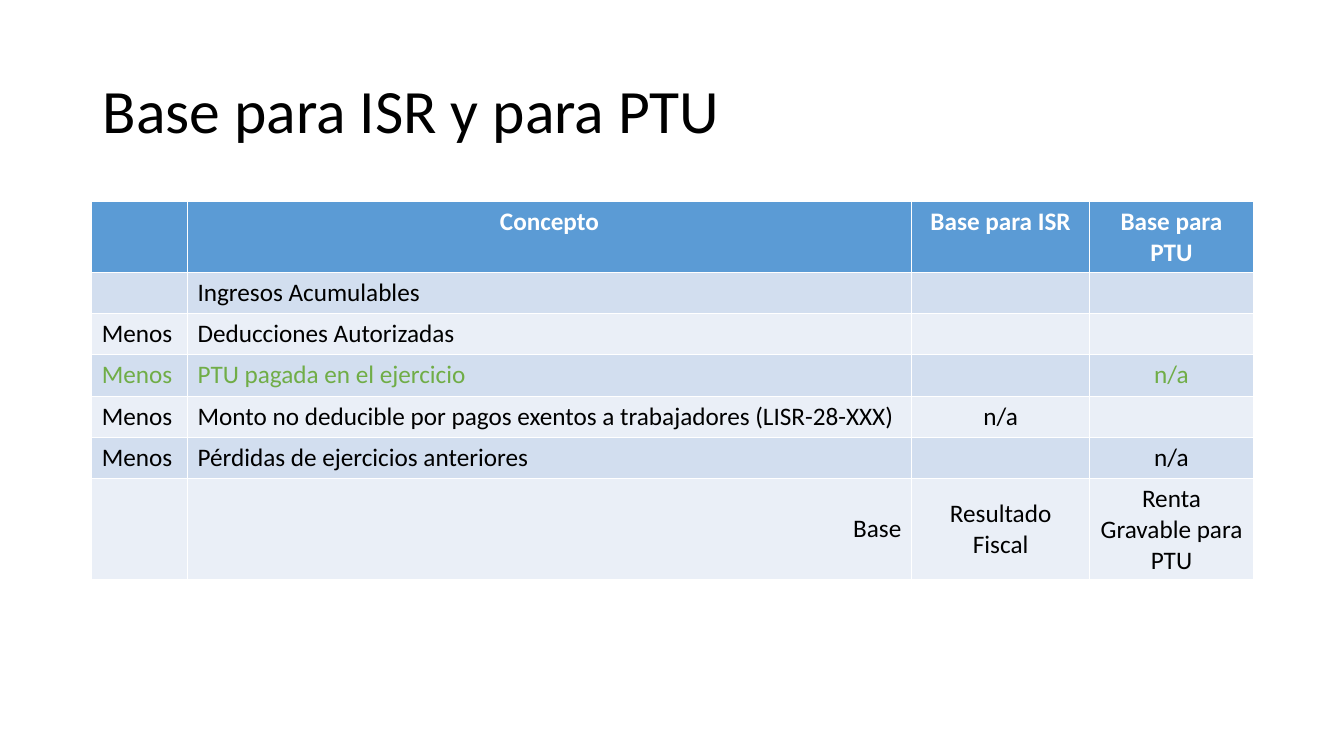
import pptx
import pptx.dml.color
import pptx.enum.text
import pptx.util

Inches = pptx.util.Inches
ALIGN = pptx.enum.text.PP_ALIGN
ANCHOR = pptx.enum.text.MSO_ANCHOR

TITLE = "Base para ISR y para PTU"
ROWS = [
    ("", "Concepto", "Base para ISR", "Base para PTU"),
    ("", "Ingresos Acumulables", "", ""),
    ("Menos", "Deducciones Autorizadas", "", ""),
    ("Menos", "PTU pagada en el ejercicio", "", "n/a"),
    ("Menos", "Monto no deducible por pagos exentos a trabajadores (LISR-28-XXX)", "n/a", ""),
    ("Menos", "Pérdidas de ejercicios anteriores", "", "n/a"),
    ("", "Base", "Resultado Fiscal", "Renta Gravable para PTU"),
]
HIGHLIGHTED_ROW = 3
TOTAL_ROW = len(ROWS) - 1
COLUMN_WIDTHS = (0.95, 7.18, 1.77, 1.62)
ROW_HEIGHT = 0.41

THEME = {
    "font": "Calibri",
    "title_size": 44,
    "table_size": 18,
    "text": "000000",
    "header_text": "FFFFFF",
    "highlight": "70AD47",
    "header_fill": "5B9BD5",
    "bands": ("EAEFF7", "D2DEEF"),
}


def style_paragraph(para, size, color, bold=False, align=ALIGN.LEFT):
    para.alignment = align
    para.font.name = THEME["font"]
    para.font.size = pptx.util.Pt(size)
    para.font.bold = bold
    para.font.color.rgb = pptx.dml.color.RGBColor.from_string(THEME[color])


def add_title(page):
    box = page.shapes.add_textbox(Inches(0.92), Inches(0.4), Inches(11.5), Inches(1.45))
    frame = box.text_frame
    frame.word_wrap = True
    frame.vertical_anchor = ANCHOR.MIDDLE
    para = frame.paragraphs[0]
    para.text = TITLE
    para.line_spacing = 0.9
    style_paragraph(para, THEME["title_size"], "text")


def cell_alignment(row, column):
    if row == 0 or column >= 2:
        return ALIGN.CENTER
    if row == TOTAL_ROW:
        return ALIGN.RIGHT
    return ALIGN.LEFT


def add_base_table(page):
    table = page.shapes.add_table(
        len(ROWS), len(COLUMN_WIDTHS), Inches(0.91), Inches(2),
        Inches(sum(COLUMN_WIDTHS)), Inches(ROW_HEIGHT * len(ROWS))).table
    for column, width in zip(table.columns, COLUMN_WIDTHS):
        column.width = Inches(width)
    for row, texts in enumerate(ROWS):
        table.rows[row].height = Inches(ROW_HEIGHT)
        fill = THEME["bands"][row % 2] if row else THEME["header_fill"]
        color = {0: "header_text", HIGHLIGHTED_ROW: "highlight"}.get(row, "text")
        for column, text in enumerate(texts):
            cell = table.cell(row, column)
            cell.fill.solid()
            cell.fill.fore_color.rgb = pptx.dml.color.RGBColor.from_string(fill)
            if row == TOTAL_ROW:
                cell.vertical_anchor = ANCHOR.MIDDLE
            para = cell.text_frame.paragraphs[0]
            if text:
                para.text = text
            style_paragraph(para, THEME["table_size"], color, row == 0,
                            cell_alignment(row, column))


def main():
    deck = pptx.Presentation()
    deck.slide_width = Inches(13.33)
    deck.slide_height = Inches(7.5)
    page = deck.slides.add_slide(deck.slide_layouts[6])
    add_title(page)
    add_base_table(page)
    deck.save("out.pptx")


if __name__ == "__main__":
    main()
